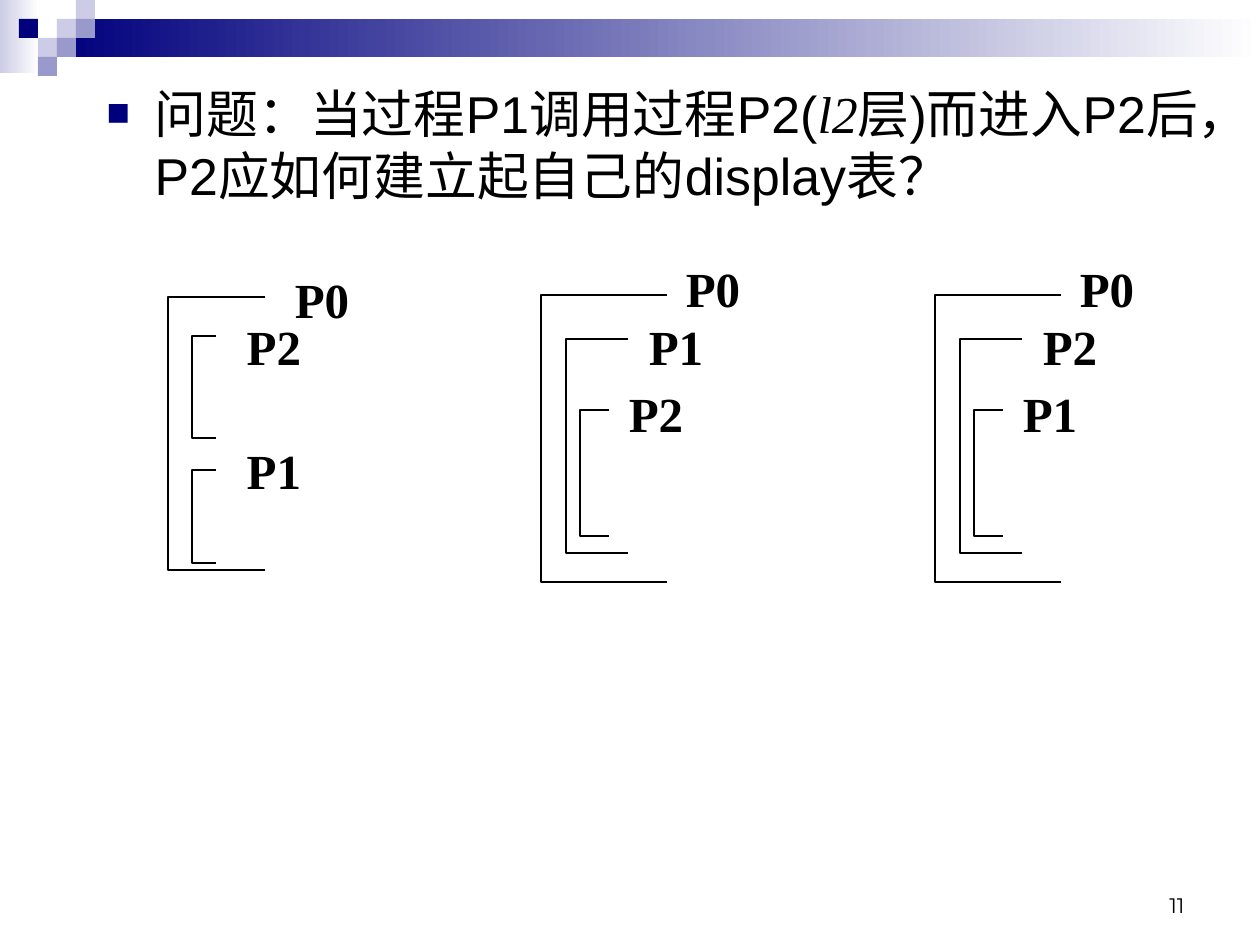
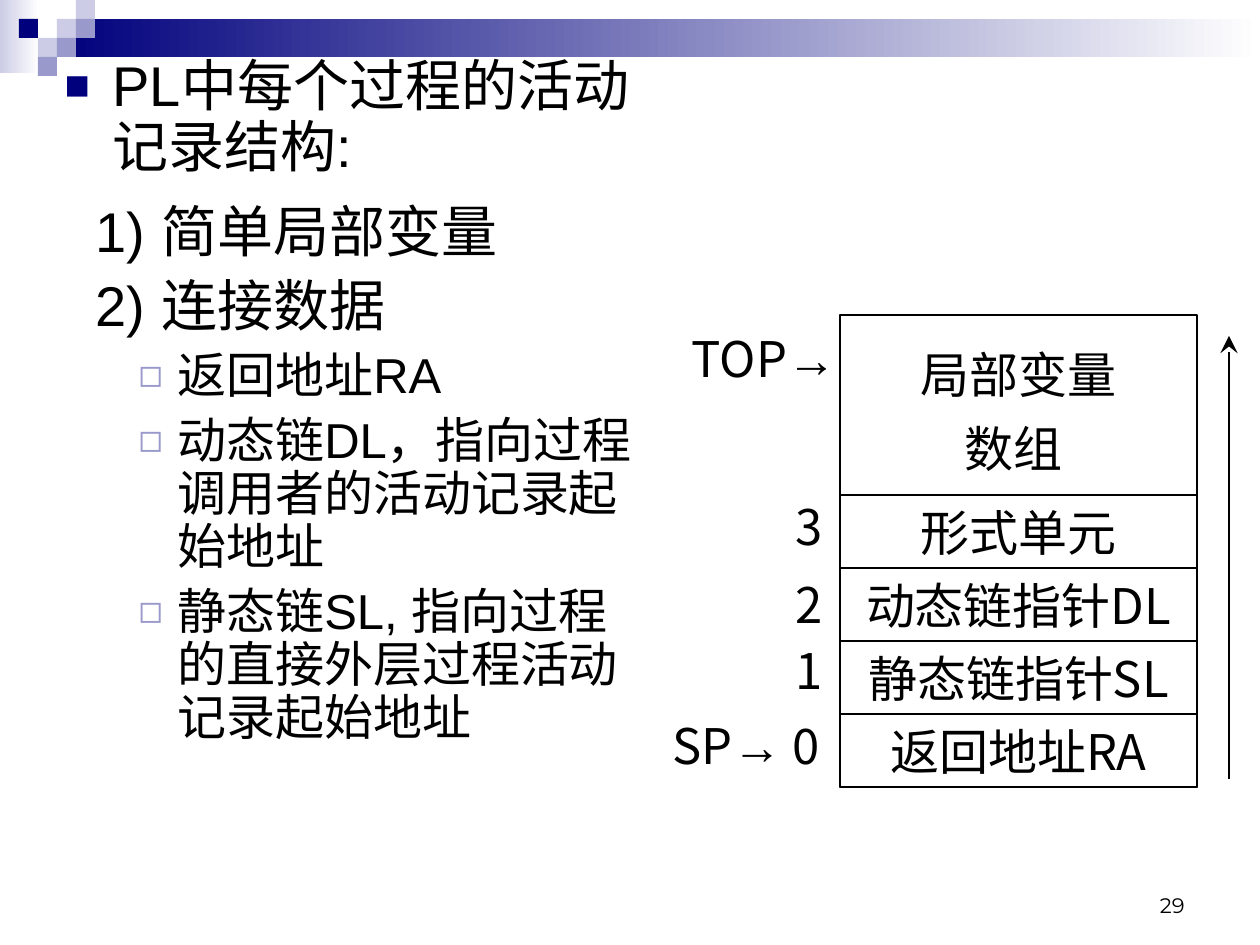
from lxml import etree
from pptx import Presentation
from pptx.dml.color import RGBColor
from pptx.enum.shapes import MSO_CONNECTOR, MSO_SHAPE
from pptx.enum.text import MSO_ANCHOR, MSO_AUTO_SIZE, PP_ALIGN
from pptx.oxml.ns import qn
from pptx.util import Inches, Pt

PX_PER_INCH = 126
SLIDE_W, SLIDE_H = 1260, 945
TITLE_AND_CONTENT = 1

BLACK = RGBColor(0x00, 0x00, 0x00)
WHITE = RGBColor(0xFF, 0xFF, 0xFF)
NAVY = RGBColor(0x00, 0x00, 0x7D)
VIOLET = RGBColor(0x99, 0x99, 0xCC)
LAVENDER = RGBColor(0xCC, 0xCC, 0xE6)

SANS, SERIF = "Arial", "Times New Roman"
CJK, NUMBER = "Noto Sans CJK SC", "Montserrat"

TILE = 19
TILES = [(3, 1, LAVENDER), (4, 0, LAVENDER), (4, 1, VIOLET), (2, 2, LAVENDER),
         (1, 1, NAVY), (3, 2, VIOLET), (2, 3, VIOLET)]

# Bracket: left, top, width, height; then left, top of its label
SIBLING_SCOPES = [(0, 0, 97, 273, 97, -30), (24, 39, 24, 102, 49, 17),
                  (24, 173, 24, 93, 49, 141)]
NESTED_SCOPES = [(0, 0, 126, 287, 115, -39), (25, 44, 62, 214, 78, 19),
                 (39, 115, 29, 126, 58, 86)]
SCOPE_DIAGRAMS = [(168, 297, SIBLING_SCOPES, ["P0", "P2", "P1"]),
                  (541, 295, NESTED_SCOPES, ["P0", "P1", "P2"]),
                  (935, 295, NESTED_SCOPES, ["P0", "P2", "P1"])]

SQUARE_BULLET = ("■", NAVY, 75)
HOLLOW_BULLET = ("◻", VIOLET, 80)
TOP_ITEM = {"left": 48, "hanging": 48, "bullet": SQUARE_BULLET}
NUMBERED_ITEM = {"left": 31, "hanging": 0, "bullet": None}
SUB_ITEM = {"left": 113, "hanging": 39, "bullet": HOLLOW_BULLET}

RECORD_ITEMS = [
    ("PL中每个过程的活动记录结构:", 32, TOP_ITEM, {"space_after": Pt(6)}),
    ("1) 简单局部变量", 32, NUMBERED_ITEM, {"space_before": Pt(8)}),
    ("2) 连接数据", 32, NUMBERED_ITEM, {"space_before": Pt(8)}),
    ("返回地址RA", 28, SUB_ITEM, {"space_before": Pt(7), "level": 1}),
    ("动态链DL，指向过程调用者的活动记录起始地址", 28, SUB_ITEM,
     {"space_before": Pt(7), "level": 1}),
    ("静态链SL, 指向过程的直接外层过程活动记录起始地址", 28, SUB_ITEM,
     {"space_before": Pt(7), "level": 1}),
]
RECORD_CELLS = ["形式单元", "动态链指针DL", "静态链指针SL", "返回地址RA"]
CELL_H = 73
POINTER_W = 180


def px(length):
    return round(length * Inches(1) / PX_PER_INCH)


def px_box(*lengths):
    return [px(length) for length in lengths]


def set_format(target, values):
    for name, value in values.items():
        setattr(target, name, value)


def add_span(para, text, font, size, east=CJK, **extra):
    span = para.add_run()
    span.text = text
    set_format(span.font, {"name": font, "size": Pt(size), **extra})
    span.font.color.rgb = BLACK
    etree.SubElement(span._r.get_or_add_rPr(), qn("a:ea"), typeface=east)


def set_bullet(para, left, hanging, bullet):
    props = para._p.get_or_add_pPr()
    props.set("marL", str(px(left)))
    props.set("indent", str(-px(hanging)))
    if bullet is None:
        etree.SubElement(props, qn("a:buNone"))
        return
    char, color, percent = bullet
    color_node = etree.SubElement(props, qn("a:buClr"))
    etree.SubElement(color_node, qn("a:srgbClr"), val=str(color))
    etree.SubElement(props, qn("a:buSzPct"), val=str(percent * 1000))
    etree.SubElement(props, qn("a:buFont"), typeface=SANS)
    etree.SubElement(props, qn("a:buChar"), char=char)


def write_label(shape, spans, align=PP_ALIGN.CENTER, anchor=MSO_ANCHOR.MIDDLE):
    """Fill a shape with one unwrapped line of (text, font, size, extras) spans."""
    set_format(shape.text_frame, {"word_wrap": False, "vertical_anchor": anchor})
    para = shape.text_frame.paragraphs[0]
    para.alignment = align
    for text, font, size, extra in spans:
        add_span(para, text, font, size, **extra)


def add_label(slide, box, spans, **layout):
    write_label(slide.shapes.add_textbox(*px_box(*box)), spans, **layout)


def cjk_span(text):
    return (text, CJK, 28, {})


def outline(shape):
    shape.shadow.inherit = False
    shape.fill.background()
    shape.line.color.rgb = BLACK
    shape.line.width = Pt(1.5)


def add_plain_rect(slide, *box):
    rect = slide.shapes.add_shape(MSO_SHAPE.RECTANGLE, *px_box(*box))
    rect.shadow.inherit = False
    rect.line.fill.background()
    return rect


def add_band(slide):
    for box, start in [((0, 0, 39, 73), LAVENDER), ((57, 19, 1203, 38), NAVY)]:
        fill = add_plain_rect(slide, *box).fill
        fill.gradient()
        fill.gradient_angle = 0
        for stop, color in zip(fill.gradient_stops, (start, WHITE)):
            stop.color.rgb = color
    for column, row, color in TILES:
        tile = add_plain_rect(slide, column * TILE, row * TILE, TILE, TILE)
        tile.fill.solid()
        tile.fill.fore_color.rgb = color


def add_page(deck, number, body_box):
    """Add a slide with the shared band and number; return it and its body text."""
    page = deck.slides.add_slide(deck.slide_layouts[TITLE_AND_CONTENT])
    title = page.shapes.title._element
    title.getparent().remove(title)
    add_band(page)
    add_label(page, (903, 861, 294, 63), [(number, NUMBER, 12, {})],
              align=PP_ALIGN.RIGHT, anchor=MSO_ANCHOR.BOTTOM)
    body = page.placeholders[1]
    set_format(body, dict(zip(("left", "top", "width", "height"), px_box(*body_box))))
    set_format(body.text_frame, {"word_wrap": True, "auto_size": MSO_AUTO_SIZE.NONE,
                                 "vertical_anchor": MSO_ANCHOR.TOP})
    return page, body.text_frame


def add_scope_diagram(slide, left, top, scopes, names):
    for (dx, dy, width, height, label_x, label_y), name in zip(scopes, names):
        x, y = left + dx, top + dy
        builder = slide.shapes.build_freeform(px(x + width), px(y))
        corners = [(x, y), (x, y + height), (x + width, y + height)]
        builder.add_line_segments([px_box(*corner) for corner in corners], close=False)
        outline(builder.convert_to_shape())
        add_label(slide, (left + label_x, top + label_y, 114, 64),
                  [(name, SERIF, 28, {"bold": True})])


def add_growth_arrow(slide, x, start, end):
    arrow = slide.shapes.add_connector(MSO_CONNECTOR.STRAIGHT, *px_box(x, start, x, end))
    arrow.line.color.rgb = BLACK
    arrow.line.width = Pt(1.5)
    etree.SubElement(arrow.line._get_or_add_ln(), qn("a:tailEnd"),
                     type="stealth", w="lg", len="lg")
    etree.SubElement(arrow._element.spPr, qn("a:effectLst"))


def add_activation_record(slide, left, top, width, height):
    shapes = slide.shapes
    outline(shapes.add_shape(MSO_SHAPE.RECTANGLE, *px_box(left, top, width, height)))
    cells_top = top + height - len(RECORD_CELLS) * CELL_H
    for row, name in enumerate(RECORD_CELLS):
        cell = shapes.add_shape(MSO_SHAPE.RECTANGLE, *px_box(
            left, cells_top + row * CELL_H, width, CELL_H))
        outline(cell)
        write_label(cell, [cjk_span(name)])
    add_label(slide, (left, top + 21, width, 76), [cjk_span("局部变量")])
    add_label(slide, (left, top + 95, width - 10, 76), [cjk_span("数组")])

    for offset, index in [(-2, "3"), (76, "2"), (142, "1")]:
        add_label(slide, (left - 84, cells_top + offset, 79, 66), [cjk_span(index)],
                  align=PP_ALIGN.RIGHT)
    pointer = ("→", SANS, 28, {"east": SANS})
    add_label(slide, (left - 166, top + 10, POINTER_W, 66), [cjk_span("TOP"), pointer])
    add_label(slide, (left - 184, top + 397, POINTER_W, 66),
              [cjk_span("SP"), pointer, cjk_span(" 0")])
    add_growth_arrow(slide, left + width + 32, top + height - 8, top + 21)


def build_question_page(deck):
    page, body = add_page(deck, "11", (94, 75, 1131, 160))
    para = body.paragraphs[0]
    set_bullet(para, **TOP_ITEM)
    add_span(para, "问题：当过程P1调用过程P2(", SANS, 29.6)
    add_span(para, "l2", SERIF, 29.6, italic=True)
    add_span(para, "层)而进入P2后，P2应如何建立起自己的display表？", SANS, 29.6)
    for diagram in SCOPE_DIAGRAMS:
        add_scope_diagram(page, *diagram)


def build_record_page(deck):
    page, body = add_page(deck, "29", (52, 52, 599, 756))
    for number, (text, size, item, values) in enumerate(RECORD_ITEMS):
        para = body.add_paragraph() if number else body.paragraphs[0]
        set_bullet(para, **item)
        set_format(para, {"line_spacing": 0.9, **values})
        add_span(para, text, SANS, size)
    add_activation_record(page, 840, 315, 357, 472)


def main():
    deck = Presentation()
    deck.slide_width, deck.slide_height = px_box(SLIDE_W, SLIDE_H)
    build_question_page(deck)
    build_record_page(deck)
    deck.save("out.pptx")


if __name__ == "__main__":
    main()
